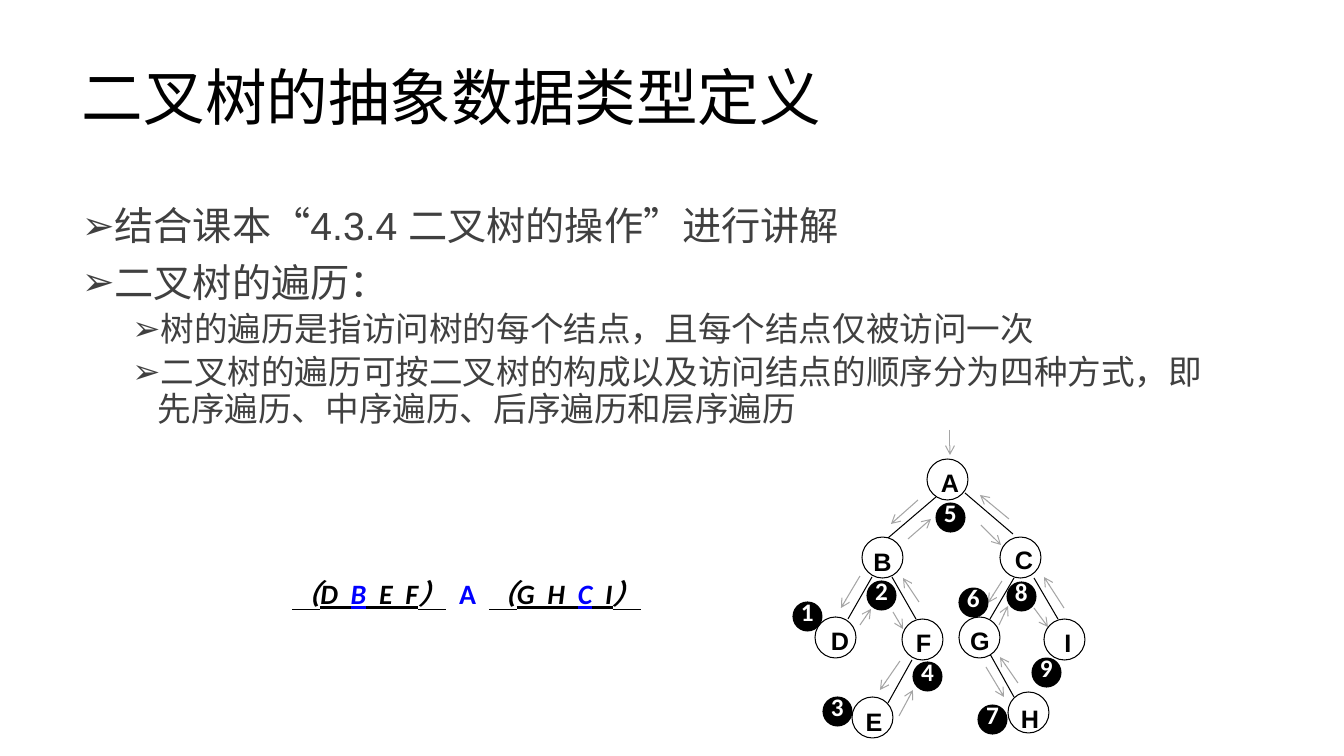
from lxml import etree
from pptx import Presentation
from pptx.dml.color import RGBColor
from pptx.enum.lang import MSO_LANGUAGE_ID
from pptx.enum.shapes import MSO_CONNECTOR, MSO_SHAPE
from pptx.enum.text import MSO_ANCHOR, PP_ALIGN
from pptx.oxml.ns import qn
from pptx.util import Pt

PX = 914400 / 100.8
BLACK = RGBColor(0, 0, 0)
WHITE = RGBColor(255, 255, 255)
GRAY = RGBColor(0xA5, 0xA5, 0xA5)
DARK = RGBColor(0x40, 0x40, 0x40)
BLUE = RGBColor(0, 0, 255)
TOP, MIDDLE = MSO_ANCHOR.TOP, MSO_ANCHOR.MIDDLE
LEFT, CENTER = PP_ALIGN.LEFT, PP_ALIGN.CENTER
OVAL, LINE = MSO_SHAPE.OVAL, MSO_CONNECTOR.STRAIGHT
CHINESE = MSO_LANGUAGE_ID.SIMPLIFIED_CHINESE

deck = Presentation()
deck.slide_width, deck.slide_height = round(1344 * PX), round(756 * PX)
slide = deck.slides.add_slide(deck.slide_layouts[6])


def write(home, box, runs, size, font="Arial", color=BLACK, bold=False, align=LEFT,
          anchor=TOP, inset=(10, 5), space=1.0):
    """Add a text box; each run is (text, color, italic, underline), shortest form (text,)."""
    shape = home.add_textbox(*[round(n * PX) for n in box])
    frame = shape.text_frame
    frame.word_wrap, frame.vertical_anchor = True, anchor
    frame.margin_left = frame.margin_right = round(inset[0] * PX)
    frame.margin_top = frame.margin_bottom = round(inset[1] * PX)
    para = frame.paragraphs[0]
    para.alignment, para.line_spacing = align, space
    for text, *style in [(runs,)] if isinstance(runs, str) else runs:
        tint, slant, under = style or (color, False, False)
        run = para.add_run()
        run.text = text
        face = run.font
        face.name, face.size, face.bold = font, Pt(size), bold
        face.color.rgb, face.italic, face.underline = tint, slant, under
        face.language_id = CHINESE
    return frame


def join(home, ends, color, arrow=False):
    """Draw a straight line, with an open arrowhead at its end if asked."""
    link = home.add_connector(LINE, *[round(n * PX) for n in ends])
    link.line.color.rgb, link.line.width = color, Pt(0.75)
    if arrow:
        etree.SubElement(link.line._get_or_add_ln(), qn("a:tailEnd"), type="arrow")
    etree.SubElement(link._element.spPr, qn("a:effectLst"))


# Title
write(slide.shapes, (72, 28, 1159, 146), "二叉树的抽象数据类型定义", 44, anchor=MIDDLE, space=0.9)

# Bullet list: text, level
points = [
    ("结合课本“4.3.4 二叉树的操作”进行讲解", 0),
    ("二叉树的遍历：", 0),
    ("树的遍历是指访问树的每个结点，且每个结点仅被访问一次", 1),
    ("二叉树的遍历可按二叉树的构成以及访问结点的顺序分为四种方式，"
     "即先序遍历、中序遍历、后序遍历和层序遍历", 1),
]
body = write(slide.shapes, (72, 202, 1159, 480), [], 28)
for i, (text, level) in enumerate(points):
    para = body.paragraphs[0] if i == 0 else body.add_paragraph()
    para.level, para.line_spacing = level, 0.9
    para.space_before = Pt((10, 5)[level])
    run = para.add_run()
    run.text = text
    run.font.name, run.font.size = "Arial", Pt((28, 24)[level])
    run.font.color.rgb, run.font.language_id = DARK, CHINESE
    props = para._p.get_or_add_pPr()
    props.set("marL", str((228600, 685800)[level]))
    props.set("indent", "-228600")
    etree.SubElement(props, qn("a:buFont"), typeface="Arial")
    etree.SubElement(props, qn("a:buChar"), char="➢")

# Tree edges, then the arrows of the walk
tree = slide.shapes.add_group_shape().shapes
edges = [
    (965, 493, 1013, 534), (936, 497, 888, 538), (1034, 578, 1058, 619),
    (1014, 578, 990, 619), (892, 577, 916, 619), (872, 577, 848, 619),
    (912, 660, 888, 703), (990, 654, 1014, 697),
]
steps = [
    (950, 430, 950, 455), (918, 500, 891, 524), (860, 576, 841, 608),
    (860, 625, 871, 609), (893, 612, 903, 629), (900, 661, 880, 690),
    (899, 716, 913, 690), (919, 602, 903, 578), (908, 539, 931, 519),
    (981, 525, 1001, 545), (1002, 581, 988, 603), (986, 667, 1004, 697),
    (1018, 683, 1000, 657), (999, 625, 1008, 606), (1034, 608, 1048, 627),
    (1064, 608, 1044, 577), (1009, 519, 980, 495),
]
for ends in edges:
    join(tree, ends, BLACK)
for ends in steps:
    join(tree, ends, GRAY, arrow=True)

# Nodes: circle corner, then label corner and width
nodes = {
    "A": (927, 459, 940, 467, 20), "B": (862, 537, 868, 546, 29),
    "C": (1000, 537, 1014, 544, 20), "D": (815, 617, 828, 625, 24),
    "E": (852, 697, 864, 706, 20), "F": (902, 619, 912, 627, 23),
    "G": (959, 617, 970, 625, 20), "H": (1008, 692, 1020, 703, 20),
    "I": (1044, 619, 1058, 627, 20),
}
# Badges 1 to 9 in visiting order: circle corner
badges = [(793, 602), (867, 581), (823, 697), (913, 662), (936, 503),
          (959, 588), (978, 705), (1007, 582), (1032, 658)]
rings = [(x, y, 41, WHITE) for x, y, *rest in nodes.values()]
rings += [(x, y, 29, BLACK) for x, y in badges]
for x, y, size, fill in rings:
    ring = tree.add_shape(OVAL, *[round(n * PX) for n in (x, y, size, size)])
    ring.shadow.inherit = False
    ring.fill.solid()
    ring.fill.fore_color.rgb = fill
    ring.line.color.rgb, ring.line.width = BLACK, Pt(0.75)
for name, (*ring, x, y, wide) in nodes.items():
    write(tree, (x, y, wide, 29), name, 18, bold=True, align=CENTER, inset=(0, 0))
for count, (x, y) in enumerate(badges, 1):
    write(tree, (x + 8, y - 6, 24, 35), str(count), 18, font="Calibri", color=WHITE,
          bold=True, inset=(0, 0))

# In-order result
order = [
    ("（D  ", BLACK, True, True), ("B", BLUE, True, True), ("  E  F）", BLACK, True, True),
    ("  ", BLACK, True, False), ("A  ", BLUE, False, False),
    ("（G  H  ", BLACK, True, True), ("C", BLUE, True, True), ("  I）", BLACK, True, True),
]
write(slide.shapes, (203, 572, 527, 44), order, 20, font="Calibri", bold=True, align=CENTER)

deck.save("out.pptx")
